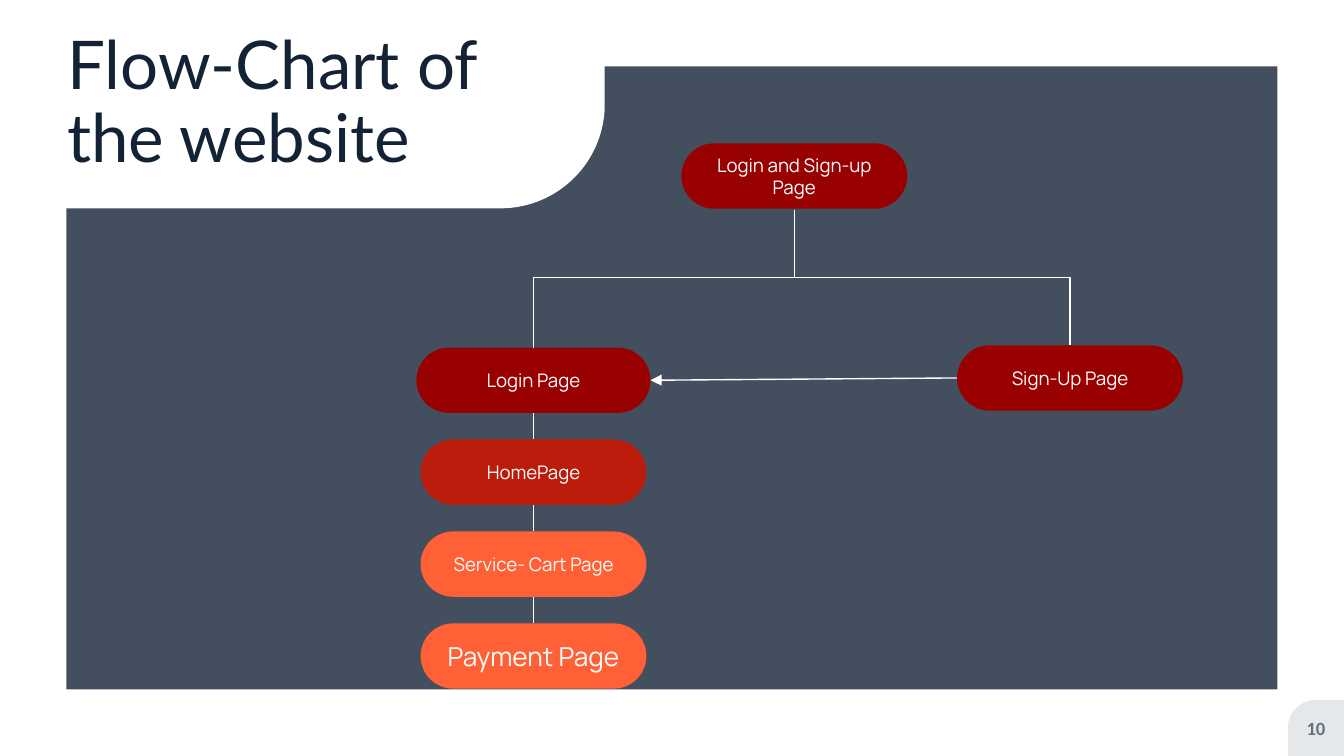
from pptx import Presentation
from pptx.dml.color import RGBColor
from pptx.enum.shapes import MSO_CONNECTOR, MSO_SHAPE
from pptx.enum.text import MSO_ANCHOR, PP_ALIGN
from pptx.oxml.ns import qn
from pptx.util import Pt
from lxml import etree

RECT, FRAME = MSO_SHAPE.RECTANGLE, MSO_SHAPE.FRAME
ROUND, CORNER = MSO_SHAPE.ROUNDED_RECTANGLE, MSO_SHAPE.ROUND_1_RECTANGLE
LINE, ELBOW = MSO_CONNECTOR.STRAIGHT, MSO_CONNECTOR.ELBOW
LEFT, CENTER, MIDDLE = PP_ALIGN.LEFT, PP_ALIGN.CENTER, MSO_ANCHOR.MIDDLE
TOP_SIDE, LEFT_SIDE, BOTTOM_SIDE, RIGHT_SIDE = range(4)

COLORS = {
    "navy": "142236", "white": "FFFFFF", "pale": "E5E8EB", "gray": "667180",
    "dark": "990000", "red": "BB1C0B", "orange": "FF6035",
}
WIDE, HIGH = 720, 405
NODE_W, NODE_H = 121, 35


def rgb(name):
    return RGBColor.from_string(COLORS[name])


class Board:
    def __init__(self, slide):
        self.shapes = slide.shapes

    def shape(self, kind, x, y, w, h, fill, adj=None, alpha=None, flip=False):
        """Add a filled preset; alpha is opacity in percent, flip mirrors sideways."""
        item = self.shapes.add_shape(kind, Pt(x), Pt(y), Pt(w), Pt(h))
        item.shadow.inherit = False
        item.fill.solid()
        item.fill.fore_color.rgb = rgb(fill)
        item.line.fill.background()
        if adj is not None:
            item.adjustments[0] = adj
        if alpha:
            color = item.element.spPr.find(".//" + qn("a:srgbClr"))
            etree.SubElement(color, qn("a:alpha")).set("val", str(alpha * 1000))
        if flip:
            item.element.spPr.find(qn("a:xfrm")).set("flipH", "1")
        return item

    def text(self, item, words, size, font, color, inset=0, align=CENTER, bold=False):
        frame = item.text_frame
        frame.word_wrap = True
        frame.vertical_anchor = MIDDLE
        frame.margin_left = frame.margin_right = Pt(inset)
        frame.margin_top = frame.margin_bottom = Pt(inset)
        para = frame.paragraphs[0]
        para.alignment = align
        run = para.add_run()
        run.text = words
        run.font.size, run.font.name, run.font.bold = Pt(size), font, bold
        run.font.color.rgb = rgb(color)
        return para

    def label(self, x, y, w, h, *args, **style):
        box = self.shapes.add_textbox(Pt(x), Pt(y), Pt(w), Pt(h))
        return self.text(box, *args, **style)

    def node(self, mid, y, words, fill, w=NODE_W, size=10):
        """Add a pill centred on mid."""
        item = self.shape(ROUND, mid - w / 2, y, w, NODE_H, fill, 0.5)
        self.text(item, words, size, "Manrope", "white", inset=7.2)
        return item

    def line(self, start, end, kind=LINE, source=None, target=None, arrow=False):
        """Add a line; source and target are (node, side) pairs to join."""
        item = self.shapes.add_connector(kind, *map(Pt, start + end))
        item.line.color.rgb = rgb("white")
        item.line.width = Pt(0.75)
        if source:
            item.begin_connect(*source)
        if target:
            item.end_connect(*target)
        props = item.element.spPr
        if arrow:
            etree.SubElement(props.find(qn("a:ln")), qn("a:tailEnd")).set("type", "triangle")
        etree.SubElement(props, qn("a:effectLst"))
        return item

    def drop(self, start, end):
        """Add an elbow that runs down, across and down: a sideways one turned by 270°."""
        (x1, y1), (x2, y2) = start, end
        mx, my = (x1 + x2) / 2, (y1 + y2) / 2
        dx, dy = (x2 - x1) / 2, (y2 - y1) / 2
        item = self.line((mx + dy, my - dx), (mx - dy, my + dx), ELBOW)
        item.element.spPr.find(qn("a:xfrm")).set("rot", str(270 * 60000))


def main():
    deck = Presentation()
    deck.slide_width, deck.slide_height = Pt(WIDE), Pt(HIGH)
    board = Board(deck.slides.add_slide(deck.slide_layouts[6]))

    board.shape(RECT, 0, 0, WIDE, HIGH, "navy", alpha=80)
    board.shape(FRAME, 0, 0, WIDE, HIGH, "white", 0.088)
    board.shape(CORNER, 0, 0, 324, 111.6, "white", 0.5, flip=True).rotation = 180
    tab = (690, 375, 30, 30)
    board.shape(CORNER, *tab, "pale", 0.5, flip=True)
    title = board.label(36, 0, 250, 111.6, "Flow-Chart of the website", 36,
                        "Lato", "navy", align=LEFT)
    title.line_spacing = 0.9
    board.label(*tab, "10", 10, "Calibri", "gray", bold=True)

    stem, root, side = 285.8, 425.5, 573.2
    top, step, fork = 186.2, 49.25, 148.8
    board.node(root, 76.8, "Login and Sign-up Page", "dark")
    login = board.node(stem, top, "Login Page", "dark", w=125.4)
    signup = board.node(side, 185, "Sign-Up Page", "dark")

    board.drop((root, 112.4), (side, 185))
    board.line((stem, fork), (root, fork))
    board.line((stem, fork), (stem, top), target=(login, TOP_SIDE))
    board.line((side, top), (stem, top), source=(signup, LEFT_SIDE),
               target=(login, RIGHT_SIDE), arrow=True)

    pages = [("HomePage", "red", 10), ("Service- Cart Page", "orange", 10),
             ("Payment Page", "orange", 14)]
    above = login
    for row, (words, fill, size) in enumerate(pages, 1):
        y = top + row * step
        page = board.node(stem, y, words, fill, size=size)
        board.line((stem, y - step + NODE_H), (stem, y),
                   source=(above, BOTTOM_SIDE), target=(page, TOP_SIDE))
        above = page

    deck.save("out.pptx")


if __name__ == "__main__":
    main()
